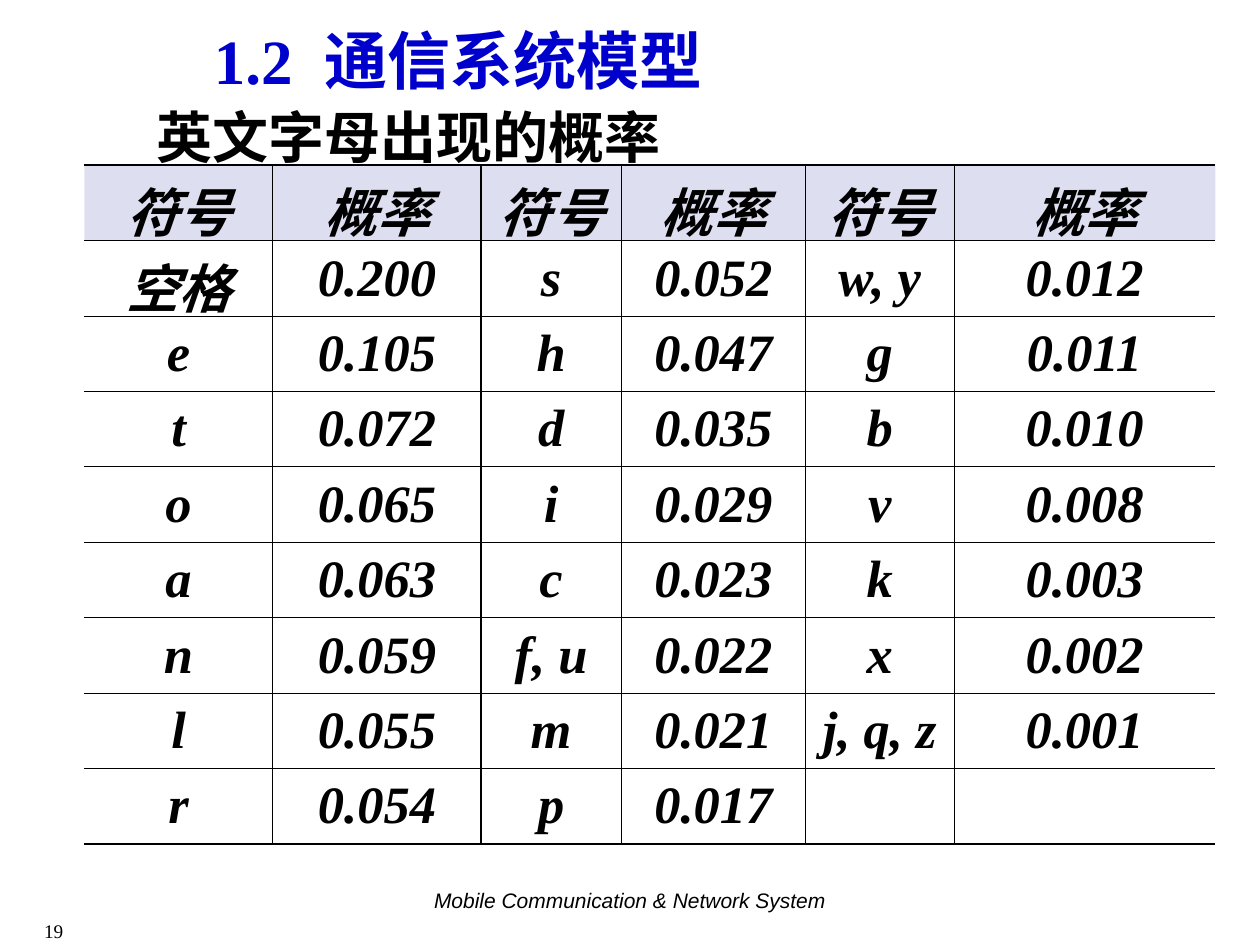
from dataclasses import dataclass

from lxml import etree
from pptx import Presentation
from pptx.dml.color import RGBColor
from pptx.enum.text import MSO_ANCHOR, MSO_AUTO_SIZE, PP_ALIGN
from pptx.oxml.ns import qn
from pptx.util import Cm, Pt

LEFT, CENTER = PP_ALIGN.LEFT, PP_ALIGN.CENTER
TOP, MIDDLE = MSO_ANCHOR.TOP, MSO_ANCHOR.MIDDLE
NO_FIT = MSO_AUTO_SIZE.NONE


@dataclass(frozen=True)
class Theme:
    serif: str = "Times New Roman"
    sans: str = "Arial"
    ink: str = "000000"
    title: str = "0000CC"
    header: str = "BFBFE5"
    header_alpha: int = 50
    title_size: int = 36
    heading_size: int = 32
    cell_size: int = 30
    footer_size: int = 12
    number_size: int = 11
    thin: float = 0.45
    thick: float = 1.08


HEADER = ["符号", "概率"] * 3
ROWS = [
    ["空格", "0.200", "s", "0.052", "w, y", "0.012"],
    ["e", "0.105", "h", "0.047", "g", "0.011"],
    ["t", "0.072", "d", "0.035", "b", "0.010"],
    ["o", "0.065", "i", "0.029", "v", "0.008"],
    ["a", "0.063", "c", "0.023", "k", "0.003"],
    ["n", "0.059", "f, u", "0.022", "x", "0.002"],
    ["l", "0.055", "m", "0.021", "j, q, z", "0.001"],
    ["r", "0.054", "p", "0.017", "", ""],
]
COL_WIDTHS = [3.8, 4.2, 2.82, 3.72, 2.99, 5.27]
ROW_HEIGHT = 1.52
TALL_GLYPH_MARGIN = -0.15  # lets the taller Chinese line fit the row height


def write(p, text, *, font, size, color, bold=False, italic=False,
          align=LEFT, tracking=0):
    """Append a formatted run; tracking is extra letter spacing in points."""
    p.alignment = align
    r = p.add_run()
    r.text = text
    r.font.name = font
    r.font.size = Pt(size)
    r.font.bold = bold
    r.font.italic = italic
    r.font.color.rgb = RGBColor.from_string(color)
    if tracking:
        r.font._element.set("spc", str(tracking * 100))


def set_border(cell, side, width, color):
    """Draw one cell edge (L, R, T or B); a width of 0 hides it."""
    ln = etree.SubElement(cell._tc.get_or_add_tcPr(), qn(f"a:ln{side}"))
    ln.set("w", str(Pt(width)))
    if width:
        fill = etree.SubElement(ln, qn("a:solidFill"))
        etree.SubElement(fill, qn("a:srgbClr"), val=color)
    else:
        etree.SubElement(ln, qn("a:noFill"))


class SlideBuilder:
    def __init__(self, slide, theme):
        self.s = slide
        self.theme = theme

    def frame(self, sp, anchor):
        tf = sp.text_frame
        tf.word_wrap = True
        tf.auto_size = NO_FIT
        tf.vertical_anchor = anchor
        return tf.paragraphs[0]

    def title(self, number, text, box):
        t = self.theme
        sp = self.s.shapes.title
        sp.left, sp.top, sp.width, sp.height = map(Cm, box)
        p = self.frame(sp, MIDDLE)
        for part, tracking in ((number, 0), (" ", 9), (text, 0)):
            write(p, part, font=t.serif, size=t.title_size, color=t.title,
                  bold=True, align=CENTER, tracking=tracking)

    def text(self, text, box, anchor=TOP, **style):
        sp = self.s.shapes.add_textbox(*map(Cm, box))
        write(self.frame(sp, anchor), text, color=self.theme.ink, **style)

    def table(self, rows, left, top, col_widths, row_height):
        t = self.theme
        n_rows, n_cols = len(rows), len(col_widths)
        table = self.s.shapes.add_table(
            n_rows, n_cols, Cm(left), Cm(top),
            Cm(sum(col_widths)), Cm(row_height * n_rows)).table
        table.horz_banding = False
        for col, width in zip(table.columns, col_widths):
            col.width = Cm(width)
        # Thick rules frame the header and close the table; each pair of
        # columns also ends in a thick rule, and the outer sides stay open.
        h_rules = [t.thick] * 2 + [t.thin] * (n_rows - 2) + [t.thick]
        v_rules = [0] + [(t.thin, t.thick)[c % 2] for c in range(n_cols - 1)] + [0]
        for i, row in enumerate(rows):
            table.rows[i].height = Cm(row_height)
            for j, text in enumerate(row):
                cell = table.cell(i, j)
                cell.vertical_anchor = MIDDLE
                if text and not text.isascii():
                    cell.margin_bottom = Cm(TALL_GLYPH_MARGIN)
                edges = zip("LRTB", v_rules[j:j + 2] + h_rules[i:i + 2])
                for side, width in edges:
                    set_border(cell, side, width, t.ink)
                self.cell_fill(cell, is_header=i == 0)
                if text:
                    write(cell.text_frame.paragraphs[0], text, font=t.serif,
                          size=t.cell_size, color=t.ink, bold=True,
                          italic=True, align=CENTER)

    def cell_fill(self, cell, is_header):
        if not is_header:
            cell.fill.background()
            return
        cell.fill.solid()
        cell.fill.fore_color.rgb = RGBColor.from_string(self.theme.header)
        clr = cell._tc.tcPr.find(qn("a:solidFill")).find(qn("a:srgbClr"))
        etree.SubElement(clr, qn("a:alpha"),
                         val=str(self.theme.header_alpha * 1000))


def main():
    prs = Presentation()
    prs.slide_width, prs.slide_height = Cm(25.4), Cm(19.05)
    t = Theme()
    b = SlideBuilder(prs.slides.add_slide(prs.slide_layouts[5]), t)
    b.text("19", (0.64, 18.4, 1.45, 0.74), font=t.serif, size=t.number_size)
    b.text("Mobile Communication & Network System", (8.5, 17.76, 13, 0.76),
           font=t.sans, size=t.footer_size, italic=True)
    b.table([HEADER] + ROWS, 1.7, 3.33, COL_WIDTHS, ROW_HEIGHT)
    b.text("英文字母出现的概率", (2.9, 1.93, 12.6, 1.63), anchor=MIDDLE,
           font=t.serif, size=t.heading_size, bold=True)
    b.title("1.2", "通信系统模型", (2.21, 0.3, 14.05, 1.78))
    prs.save("out.pptx")


if __name__ == "__main__":
    main()
